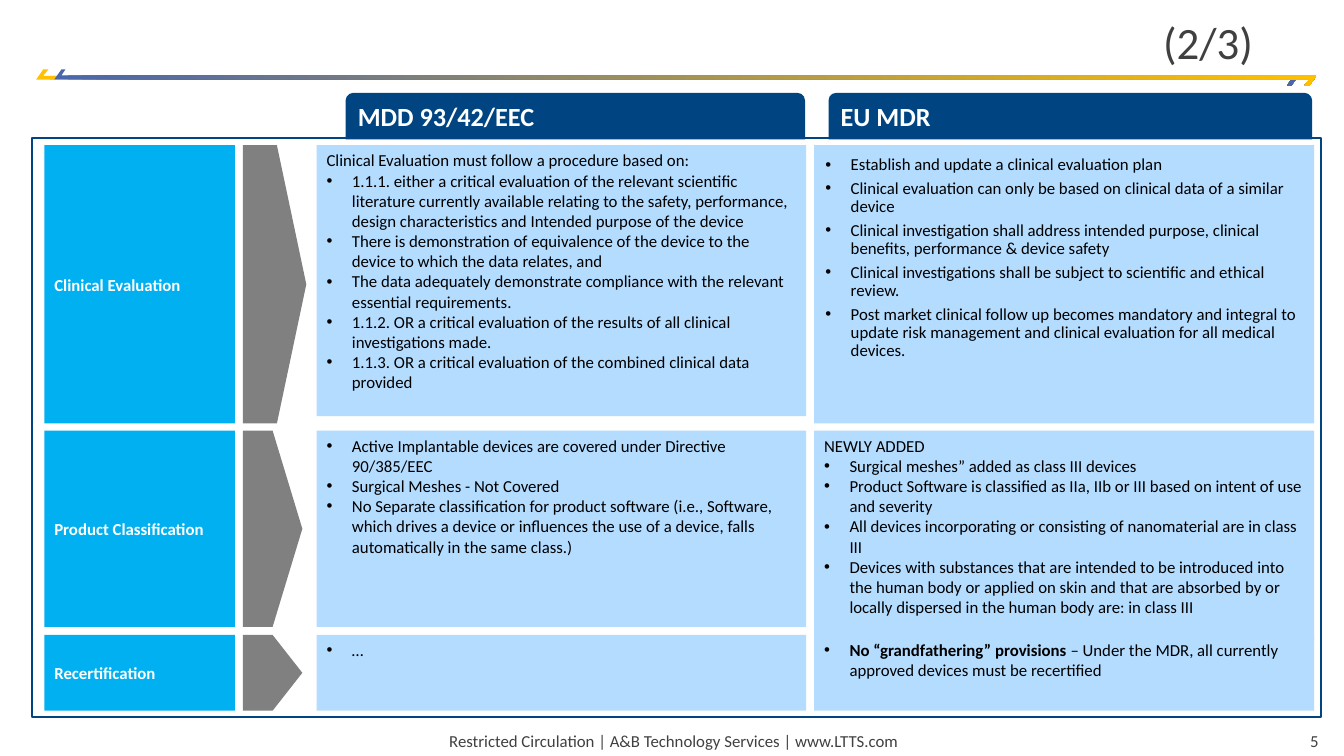
from lxml.etree import SubElement
from pptx import Presentation
from pptx.dml.color import RGBColor
from pptx.enum.shapes import MSO_SHAPE
from pptx.enum.text import MSO_ANCHOR, PP_ALIGN
from pptx.oxml.ns import qn
from pptx.util import Cm, Pt

NAVY = RGBColor(0x00, 0x45, 0x81)
CYAN = RGBColor(0x00, 0xB0, 0xF0)
PALE = RGBColor(0xB3, 0xDC, 0xFF)
GREY = RGBColor(0x80, 0x80, 0x80)
DARK = RGBColor(0x40, 0x40, 0x40)
GOLD = RGBColor(0xFF, 0xC0, 0x00)
BLUE = RGBColor(0x4A, 0x66, 0xAC)
WHITE = RGBColor(0xFF, 0xFF, 0xFF)
BLACK = RGBColor(0x00, 0x00, 0x00)

LABEL_X, LABEL_W = 1.12, 4.8
ARROW_X = 6.12
MDD_X, MDD_W = 7.98, 12.34
MDR_X, MDR_W = 20.52, 12.6

ROWS = [
    dict(label="Clinical Evaluation", top=3.66, height=7.01,
         arrow=(1.6, 0.463), mdd_height=6.83, mdr_height=7.01,
         mdd_intro="Clinical Evaluation must follow a procedure based on:",
         mdd=["1.1.1. either a critical evaluation of the relevant scientific literature "
              "currently available relating to the safety, performance, design "
              "characteristics and Intended purpose of the device",
              "There is demonstration of equivalence of the device to the device to "
              "which the data relates, and",
              "The data adequately demonstrate compliance with the relevant essential "
              "requirements.",
              "1.1.2. OR a critical evaluation of the results of all clinical "
              "investigations made.",
              "1.1.3. OR a critical evaluation of the combined clinical data provided"],
         mdr=["Establish and update a clinical evaluation plan",
              "Clinical evaluation can only be based on clinical data of a similar device",
              "Clinical investigation shall address intended purpose, clinical benefits, "
              "performance & device safety",
              "Clinical investigations shall be subject to scientific and ethical review.",
              "Post market clinical follow up becomes mandatory and integral to update "
              "risk management and clinical evaluation for all medical devices."],
         mdr_spaced=True),
    dict(label="Product Classification", top=10.85, height=4.95,
         arrow=(1.5, 0.5), mdd_height=4.95, mdr_height=5.31,
         mdd=["Active Implantable devices are covered under Directive 90/385/EEC",
              "Surgical Meshes - Not Covered",
              "No Separate classification for product software (i.e., Software, which "
              "drives a device or influences the use of a device, falls automatically "
              "in the same class.)"],
         mdr_intro="NEWLY ADDED",
         mdr=["Surgical meshes” added as class III devices",
              "Product Software is classified as IIa, IIb or III based on intent of use "
              "and severity",
              "All devices incorporating or consisting of nanomaterial are in class III",
              "Devices with substances that are intended to be introduced into the human "
              "body or applied on skin and that are absorbed by or locally dispersed in "
              "the human body are: in class III"]),
    dict(label="Recertification", top=16, height=1.91,
         arrow=(1.5, 0.5), mdd_height=1.91, mdr_height=1.91,
         mdd=["…"],
         mdr=["No “grandfathering” provisions "],
         mdr_rest="– Under the MDR, all currently approved devices must be recertified"),
]

RIBBON = [(1.09, 1.75), (1.22, 1.75), (1.09, 1.91), (32.72, 1.91), (32.54, 2.16),
          (32.44, 2.16), (32.54, 2.01), (0.91, 2.01)]


class Deck:
    """Draws styled elements, measured in centimetres, on the current slide."""

    def __init__(self, prs):
        self.font = "Calibri"
        self.s = prs.slides.add_slide(prs.slide_layouts[6])

    def style(self, p, size, color, bold=False):
        for r in p.runs:
            r.font.name, r.font.size, r.font.bold = self.font, Pt(size), bold
            r.font.color.rgb = color

    def shape(self, kind, x, y, w, h, fill=None, line=None, adjustments=()):
        sp = self.s.shapes.add_shape(kind, Cm(x), Cm(y), Cm(w), Cm(h))
        sp.shadow.inherit = False
        for i, value in enumerate(adjustments):
            sp.adjustments[i] = value
        if fill is None:
            sp.fill.background()
        else:
            sp.fill.solid()
            sp.fill.fore_color.rgb = fill
        if line is None:
            sp.line.fill.background()
        else:
            sp.line.color.rgb = line
            sp.line.width = Pt(1.5)
        return sp

    def caption(self, sp, text, size, color, bold=False,
                align=PP_ALIGN.LEFT, anchor=MSO_ANCHOR.TOP):
        tf = sp.text_frame
        tf.text = text
        tf.word_wrap = True
        tf.vertical_anchor = anchor
        p = tf.paragraphs[0]
        p.alignment = align
        self.style(p, size, color, bold)
        return tf

    def text(self, x, y, w, h, text, size, align, anchor=MSO_ANCHOR.TOP):
        sp = self.s.shapes.add_textbox(Cm(x), Cm(y), Cm(w), Cm(h))
        return self.caption(sp, text, size, DARK, align=align, anchor=anchor)

    def bullet(self, p):
        pPr = p._p.get_or_add_pPr()
        pPr.set("marL", str(Cm(0.64)))
        pPr.set("indent", str(Cm(-0.64)))
        SubElement(pPr, qn("a:buFont"), typeface="Arial")
        SubElement(pPr, qn("a:buChar"), char="•")

    def body(self, x, y, w, h, items, intro=None, rest=None, spaced=False):
        tf = self.shape(MSO_SHAPE.RECTANGLE, x, y, w, h, PALE).text_frame
        tf.vertical_anchor = MSO_ANCHOR.TOP
        if spaced:
            tf.margin_left = tf.margin_right = Cm(0.28)
            tf.margin_top = tf.margin_bottom = Cm(0.28)
        tf.text = "\n".join(([intro] if intro else []) + items)
        for i, p in enumerate(tf.paragraphs):
            if i or not intro:
                self.bullet(p)
            p.alignment = PP_ALIGN.LEFT
            if spaced:
                p.line_spacing = 0.9
                p.space_after = Pt(4)
            if rest:
                p.add_run().text = rest
            self.style(p, 12, BLACK)
            if rest:
                p.runs[0].font.bold = True

    def ribbon(self, points, start, end):
        corners = [(Cm(x), Cm(y)) for x, y in points]
        builder = self.s.shapes.build_freeform(*corners[0])
        builder.add_line_segments(corners[1:])
        sp = builder.convert_to_shape()
        sp.shadow.inherit = False
        sp.line.fill.background()
        sp.fill.gradient()
        sp.fill.gradient_angle = 0
        for stop, color in zip(sp.fill.gradient_stops, (start, end)):
            stop.color.rgb = color

    def header(self, x, w, text):
        sp = self.shape(MSO_SHAPE.ROUND_2_SAME_RECTANGLE, x, 2.34, w, 1.17, NAVY,
                        adjustments=(0.167, 0))
        self.caption(sp, text, 18.7, WHITE, True)

    def row(self, row):
        top, height = row["top"], row["height"]
        sp = self.shape(MSO_SHAPE.RECTANGLE, LABEL_X, top, LABEL_W, height, CYAN)
        self.caption(sp, row["label"], 12, WHITE, True, anchor=MSO_ANCHOR.MIDDLE)
        width, point = row["arrow"]
        self.shape(MSO_SHAPE.PENTAGON, ARROW_X, top, width, height, GREY,
                   adjustments=(point,))
        self.body(MDD_X, top, MDD_W, row["mdd_height"], row["mdd"], row.get("mdd_intro"))
        self.body(MDR_X, top, MDR_W, row["mdr_height"], row["mdr"], row.get("mdr_intro"),
                  row.get("mdr_rest"), row.get("mdr_spaced", False))


def main():
    prs = Presentation()
    prs.slide_width, prs.slide_height = Cm(33.87), Cm(19.05)
    deck = Deck(prs)
    deck.text(9.86, 18.29, 14.25, 0.76,
              "Restricted Circulation | A&B Technology Services | www.LTTS.com",
              12, PP_ALIGN.CENTER)
    deck.text(31.78, 18.29, 1.7, 0.76, "5", 12, PP_ALIGN.RIGHT)
    deck.ribbon(RIBBON, GOLD, BLUE)
    deck.ribbon([(34.09 - x, 3.91 - y) for x, y in RIBBON], BLUE, GOLD)
    title = deck.text(1.12, 0, 31.6, 1.88, "(2/3)", 32, PP_ALIGN.RIGHT, MSO_ANCHOR.BOTTOM)
    title.margin_right = Cm(1.14)
    title.paragraphs[0].line_spacing = 0.9
    deck.shape(MSO_SHAPE.RECTANGLE, 0.81, 3.48, 32.49, 14.58, line=NAVY)
    for row in ROWS:
        deck.row(row)
    deck.header(8.71, 11.58, "MDD 93/42/EEC")
    deck.header(20.88, 12.19, "EU MDR")
    prs.save("out.pptx")


if __name__ == "__main__":
    main()
